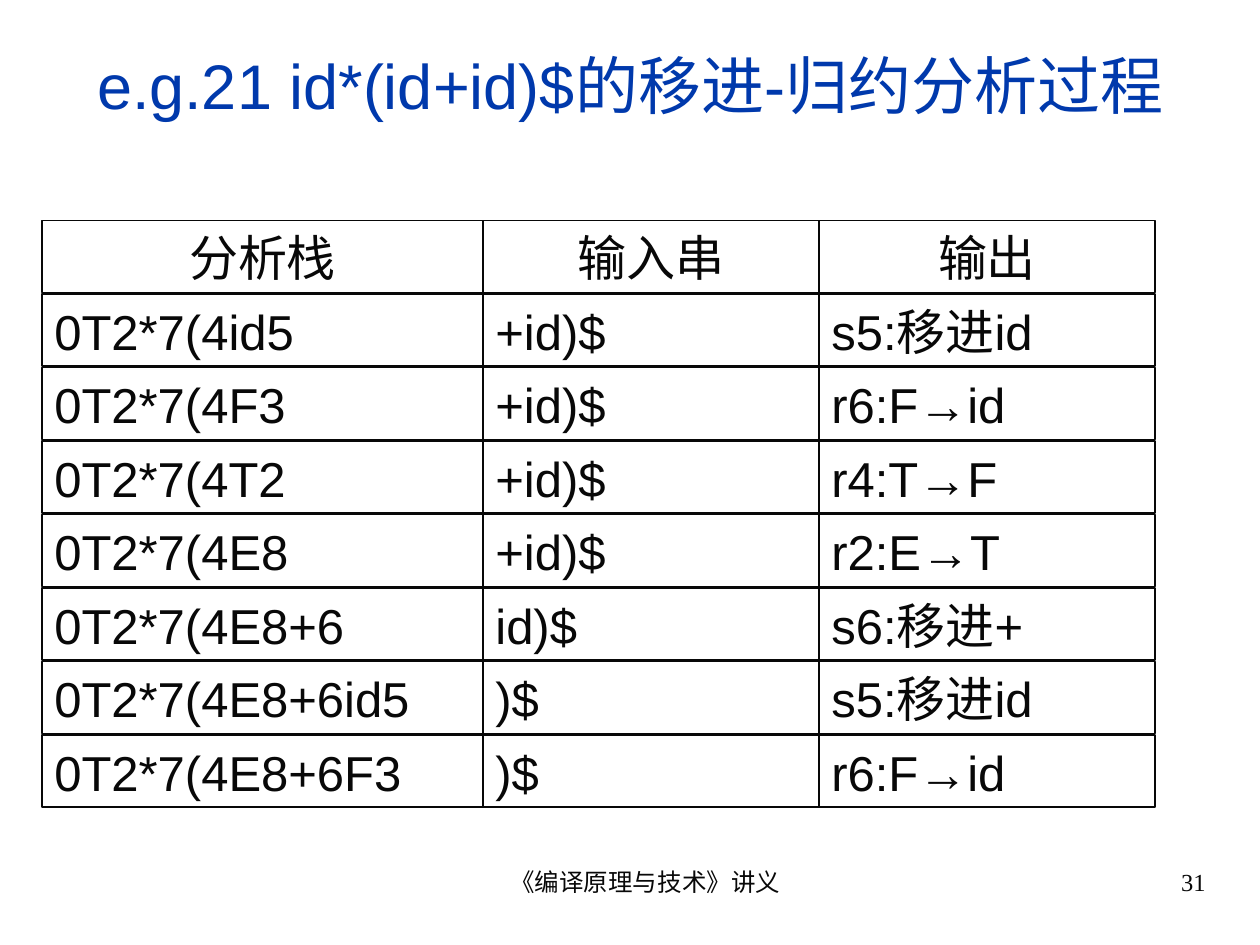
from dataclasses import dataclass

from pptx import Presentation
from pptx.dml.color import RGBColor
from pptx.enum.shapes import MSO_SHAPE
from pptx.enum.text import MSO_ANCHOR, PP_ALIGN
from pptx.util import Pt

PX = 9525  # EMU per px, 96 px to the inch


@dataclass(frozen=True)
class Theme:
    title_color: RGBColor = RGBColor.from_string("0039AC")
    ink: RGBColor = RGBColor.from_string("080808")
    body_font: str = "Arial"
    footer_font: str = "Times New Roman"
    title_size: int = 36
    table_size: int = 28
    footer_size: int = 14
    border: float = 0.75


theme = Theme()


def write(frame, text, alignment, anchor, font_name, size, color):
    frame.word_wrap = True
    frame.vertical_anchor = anchor
    paragraph = frame.paragraphs[0]
    paragraph.alignment = alignment
    run = paragraph.add_run()
    run.text = text
    run.font.name = font_name
    run.font.size = Pt(size)
    run.font.color.rgb = color


presentation = Presentation()
presentation.slide_width = 960 * PX
presentation.slide_height = 720 * PX
slide = presentation.slides.add_slide(presentation.slide_layouts[6])

# Title
title = slide.shapes.add_textbox(32 * PX, 24 * PX, 896 * PX, 80 * PX)
write(title.text_frame, "e.g.21 id*(id+id)$的移进-归约分析过程", PP_ALIGN.CENTER,
      MSO_ANCHOR.MIDDLE, theme.body_font, theme.title_size, theme.title_color)

# Parsing steps: one group of separate boxes per row, a hairline gap between rows
steps = [
    ("分析栈", "输入串", "输出"),
    ("0T2*7(4id5", "+id)$", "s5:移进id"),
    ("0T2*7(4F3", "+id)$", "r6:F→id"),
    ("0T2*7(4T2", "+id)$", "r4:T→F"),
    ("0T2*7(4E8", "+id)$", "r2:E→T"),
    ("0T2*7(4E8+6", "id)$", "s6:移进+"),
    ("0T2*7(4E8+6id5", ")$", "s5:移进id"),
    ("0T2*7(4E8+6F3", ")$", "r6:F→id"),
]
column_widths = (336, 256, 256)
row_pitch = 56
box_height = 55

for row_index, step in enumerate(steps):
    row = slide.shapes.add_group_shape()
    left = 32
    top = 168 + row_index * row_pitch
    alignment = PP_ALIGN.CENTER if row_index == 0 else PP_ALIGN.LEFT
    for text, width in zip(step, column_widths):
        box = row.shapes.add_shape(MSO_SHAPE.RECTANGLE, left * PX, top * PX,
                                   width * PX, box_height * PX)
        box.shadow.inherit = False
        box.fill.background()
        box.line.color.rgb = theme.ink
        box.line.width = Pt(theme.border)
        write(box.text_frame, text, alignment, MSO_ANCHOR.BOTTOM,
              theme.body_font, theme.table_size, theme.ink)
        left += width

# Footer and page number
for text, left, width, alignment in (
        ("《编译原理与技术》讲义", 328, 304, PP_ALIGN.CENTER),
        ("31", 688, 240, PP_ALIGN.RIGHT)):
    footer = slide.shapes.add_textbox(left * PX, 656 * PX, width * PX, 50 * PX)
    footer.text_frame.margin_left = 33 * PX
    write(footer.text_frame, text, alignment, MSO_ANCHOR.TOP,
          theme.footer_font, theme.footer_size, theme.ink)

presentation.save("out.pptx")
